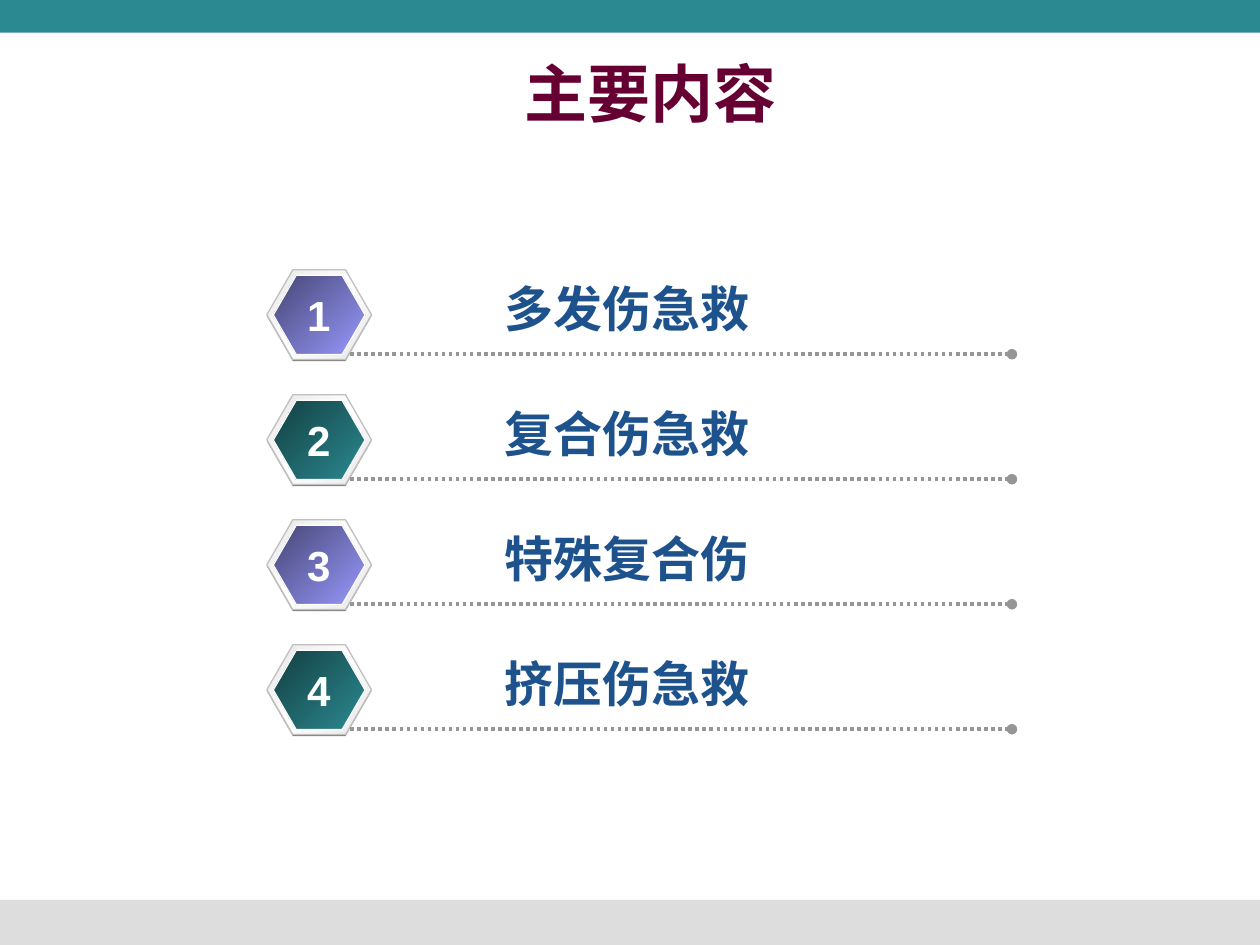
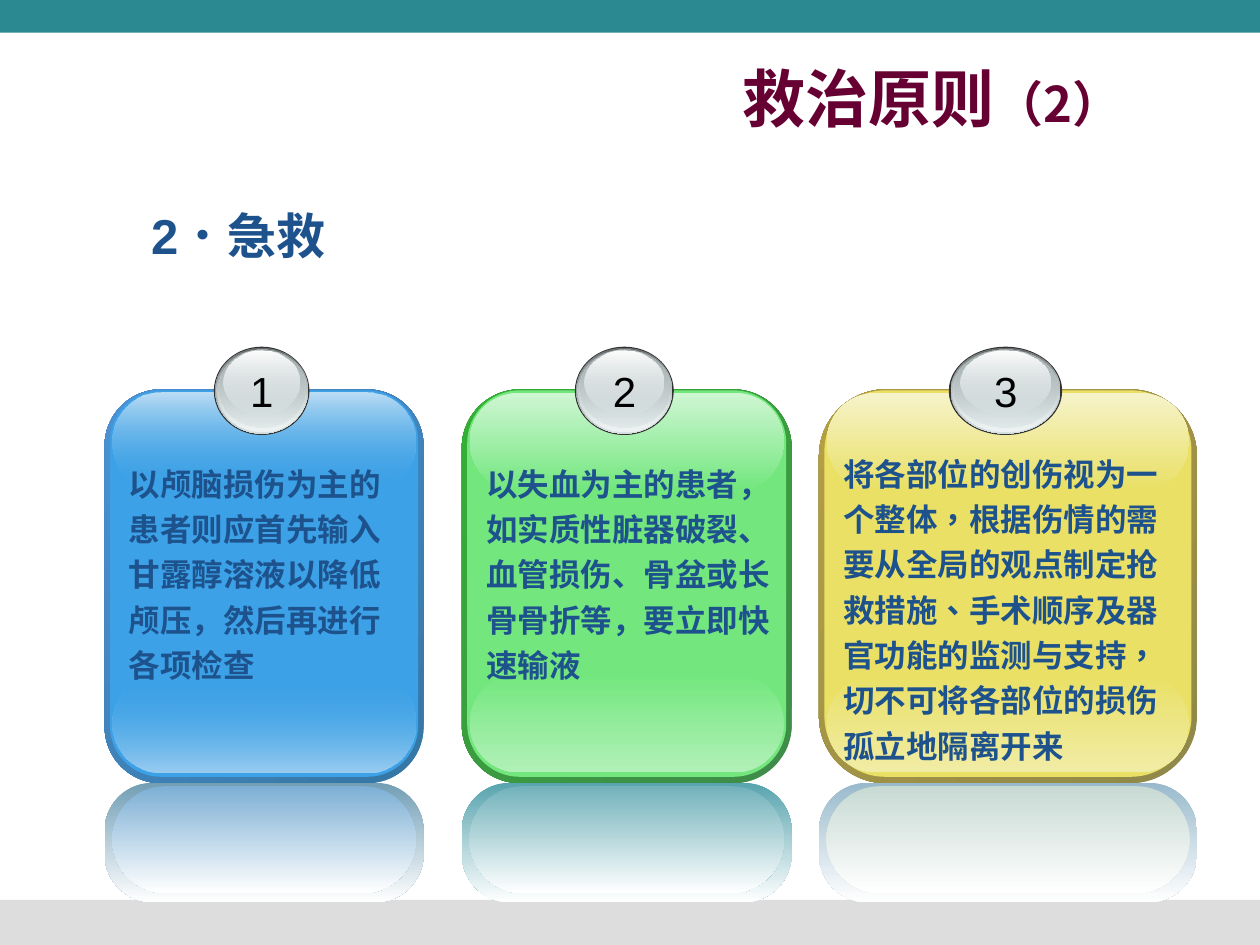
from lxml.etree import SubElement
from pptx import Presentation
from pptx.dml.color import RGBColor
from pptx.enum.dml import MSO_LINE
from pptx.enum.lang import MSO_LANGUAGE_ID
from pptx.enum.shapes import MSO_CONNECTOR, MSO_SHAPE
from pptx.enum.text import MSO_ANCHOR, PP_ALIGN
from pptx.oxml.ns import qn
from pptx.util import Cm, Pt

COLOURS = {
    "teal": "2B8A91", "dark teal": "133F42", "violet": "9999FF", "dark violet": "464675",
    "footer": "DDDDDD", "title": "660033", "text": "1D528D", "white": "FFFFFF", "black": "000000",
    "hex shadow": "808080", "hex rim": "E6E6E6", "hex line": "C0C0C0", "dots": "969696",
    "badge rim": "333333", "badge dark": "626768", "badge": "D6E1E2", "badge pale": "EFF3F3",
    "badge grey": "A8B1B2", "badge shine": "FEFEFE",
    "blue": "3CA1E6", "blue edge": "3477A4", "blue edge end": "4E91D4", "blue top": "BDDEF5",
    "blue bottom": "9ACDF1", "blue mirror": "729EB4", "blue mirror in": "7DAFD4",
    "green": "73E77E", "green edge": "3F8B4A", "green edge end": "34B034", "green top": "CFF6D3",
    "green bottom": "B1F0B7", "green mirror": "58A4AE", "green mirror in": "72B2BB",
    "yellow": "E9E065", "yellow edge": "8F8849", "yellow edge end": "B59F43", "yellow top": "F6F3CA",
    "yellow bottom": "F1ECA5", "yellow mirror": "99BACC", "yellow mirror in": "C8DAD4",
}
SIMPLIFIED = MSO_LANGUAGE_ID.SIMPLIFIED_CHINESE
TRADITIONAL = MSO_LANGUAGE_ID.TRADITIONAL_CHINESE


def draw(slide, preset, box, fills, angle=90, corner=None, line=None):
    """Add a shape; fills is a list of (colour, opacity %) stops, one stop being solid."""
    shape = slide.shapes.add_shape(preset, *[Cm(length) for length in box])
    shape.shadow.inherit = False
    if corner is not None:
        shape.adjustments[0] = corner
    if len(fills) == 1:
        shape.fill.solid()
        shape.fill.fore_color.rgb = RGBColor.from_string(COLOURS[fills[0][0]])
    else:
        shape.fill.gradient()
        gradient = shape.element.spPr.find(qn("a:gradFill"))
        stops = gradient.find(qn("a:gsLst"))
        stops.clear()
        for index, (colour, opacity) in enumerate(fills):
            stop = SubElement(stops, qn("a:gs"), pos=str(100000 * index // (len(fills) - 1)))
            value = SubElement(stop, qn("a:srgbClr"), val=COLOURS[colour])
            if opacity < 100:
                SubElement(value, qn("a:alpha"), val=str(opacity * 1000))
        gradient.find(qn("a:lin")).set("ang", str(angle * 60000))
    if line:
        shape.line.color.rgb = RGBColor.from_string(COLOURS[line])
        shape.line.width = Pt(0.75)
    else:
        shape.line.fill.background()
    return shape


def write(holder, box, runs, colour, align=PP_ALIGN.LEFT, bold=True, font="Arial",
          language=SIMPLIFIED, wrap=True, spacing=1.0, anchor=MSO_ANCHOR.TOP):
    """Place a text holder and fill it with (text, size) runs."""
    holder.left, holder.top, holder.width, holder.height = [Cm(length) for length in box]
    frame = holder.text_frame
    frame.word_wrap = wrap
    frame.vertical_anchor = anchor
    paragraph = frame.paragraphs[0]
    paragraph.alignment = align
    paragraph.line_spacing = spacing
    for text, size in runs:
        run = paragraph.add_run()
        run.text = text
        run.font.size = Pt(size)
        run.font.bold = bold
        run.font.name = font
        run.font.language_id = language
        run.font.color.rgb = RGBColor.from_string(COLOURS[colour])
        SubElement(run.font._element, qn("a:ea"), typeface="Noto Sans CJK SC")


prs = Presentation()
prs.slide_width, prs.slide_height = Cm(25.4), Cm(19.05)
title_only = prs.slide_layouts[5]
contents = prs.slides.add_slide(title_only)
principles = prs.slides.add_slide(title_only)

# Bands shared by all slides, moved to the back of the master
master_tree = prs.slide_master.element.cSld.spTree
for number, (top, height, colour) in enumerate([(18.14, 0.91, "footer"), (0, 0.66, "teal")]):
    band = draw(contents, MSO_SHAPE.RECTANGLE, (0, top, 25.4, height), [(colour, 100)])
    band.element.nvSpPr.cNvPr.set("id", str(20 + number))
    master_tree.insert(2 + number, band.element)

# Slide 1: contents
write(contents.shapes.title, (1.47, 1.07, 23.27, 1.57), [("主要内容", 36)], "title",
      PP_ALIGN.CENTER, font="DejaVu Sans", anchor=MSO_ANCHOR.MIDDLE)

topics = ["多发伤急救", "复合伤急救", "特殊复合伤", "挤压伤急救"]
for index, topic in enumerate(topics):
    top = 5.44 + 2.52 * index
    hue = ("violet", "teal")[index % 2]
    rim = [("hex rim", 100), ("white", 100), ("hex rim", 100)]
    core = [(hue, 100), ("dark " + hue, 100)]

    # Numbered hexagon: shadow, rim, core
    for box, fills, line in [
        ((5.38, top + 0.03, 2.11, 1.81), [("hex shadow", 100)], None),
        ((5.38, top, 2.11, 1.81), rim, "hex line"),
        ((5.51, top + 0.11, 1.85, 1.6), core, "white"),
    ]:
        draw(contents, MSO_SHAPE.HEXAGON, box, fills, 225, 0.289, line)

    # Dotted rule ending in a dot
    rule = contents.shapes.add_connector(
        MSO_CONNECTOR.STRAIGHT, Cm(7.06), Cm(top + 1.7), Cm(20.4), Cm(top + 1.7))
    rule.line.color.rgb = RGBColor.from_string(COLOURS["dots"])
    rule.line.width = Pt(2)
    rule.line.dash_style = MSO_LINE.ROUND_DOT
    SubElement(rule.line._get_or_add_ln(), qn("a:tailEnd"), type="oval")
    SubElement(rule.element.spPr, qn("a:effectLst"))

    # Topic and its number
    write(contents.shapes.add_textbox(0, 0, 0, 0), (9.93, top + 0.05, 6.4, 1.45),
          [(topic, 28)], "text")
    write(contents.shapes.add_textbox(0, 0, 0, 0), (5.94, top + 0.28, 0.97, 1.27),
          [(str(index + 1), 24)], "white", PP_ALIGN.CENTER, wrap=False)

# Slide 2: principles of treatment
write(principles.shapes.title, (2.11, 1.07, 20.75, 1.78), [("救治原则", 36), ("（2）", 28)],
      "title", PP_ALIGN.RIGHT, font="Noto Sans CJK SC", language=TRADITIONAL,
      anchor=MSO_ANCHOR.MIDDLE)
write(principles.shapes.add_textbox(0, 0, 0, 0), (2.8, 4.01, 12, 1.45),
      [("2．急救", 28)], "text", language=TRADITIONAL)

# Badge layers: share of the badge width, top, height, fills
badge_layers = [
    (1, 6.99, 1.78, [("badge rim", 100)]),
    (0.97, 7.01, 1.73, [("badge dark", 100), ("badge", 100)]),
    (0.95, 7.01, 1.68, [("badge", 0), ("badge pale", 100)]),
    (0.91, 7.04, 1.57, [("badge grey", 100), ("badge", 48)]),
    (0.8, 7.06, 1.27, [("badge shine", 100), ("badge", 38)]),
]
# Cards: hue, width, opacity where the gloss fades out, text top, language, text
cards = [
    ("blue", 6.43, 0, 9.09, SIMPLIFIED,
     "以颅脑损伤为主的患者则应首先输入甘露醇溶液以降低颅压，然后再进行各项检查"),
    ("green", 6.65, 100, 9.09, SIMPLIFIED,
     "以失血为主的患者，如实质性脏器破裂、血管损伤、骨盆或长骨骨折等，要立即快速输液"),
    ("yellow", 7.62, 100, 8.89, TRADITIONAL,
     "将各部位的创伤视为一个整体，根据伤情的需要从全局的观点制定抢救措施、"
     "手术顺序及器官功能的监测与支持，切不可将各部位的损伤孤立地隔离开来"),
]
for index, (hue, width, fade, text_top, language, text) in enumerate(cards):
    left = 2.11 + 7.2 * index

    # Card body, gloss and reflection: inset, top, height, corner, angle, fills
    for inset, top, height, corner, angle, fills in [
        (0, 7.85, 7.94, 0.177, 225, [(hue + " edge", 100), (hue + " edge end", 100)]),
        (0.11, 7.87, 7.79, 0.165, 225, [(hue, 100)]),
        (0.16, 13.59, 1.98, 0.5, 90, [(hue, fade), (hue + " bottom", 100)]),
        (0.16, 7.92, 1.96, 0.5, 90, [(hue + " top", 100), (hue, fade)]),
        (0, 15.78, 2.41, 0.404, 90, [(hue + " mirror", 100), ("white", 100)]),
        (0.15, 15.85, 2.16, 0.5, 90, [(hue + " mirror in", 100), ("white", 100)]),
    ]:
        draw(principles, MSO_SHAPE.ROUNDED_RECTANGLE,
             (left + inset, top, width - 2 * inset, height), fills, angle, corner)

    # Numbered badge on the top edge
    middle = left + width / 2 - 0.05
    for share, top, height, fills in badge_layers:
        layer_width = 0.3 * width * share
        draw(principles, MSO_SHAPE.OVAL,
             (middle - layer_width / 2, top, layer_width, height), fills)
    write(principles.shapes.add_textbox(0, 0, 0, 0), (middle - 0.48, 7.24, 0.96, 1.27),
          [(str(index + 1), 24)], "black", PP_ALIGN.CENTER, bold=False, wrap=False)

    # Card text
    write(principles.shapes.add_textbox(0, 0, 0, 0), (left + 0.24, text_top, width - 0.32, 4.83),
          [(text, 18)], "text", language=language, spacing=1.2)

prs.save("out.pptx")
